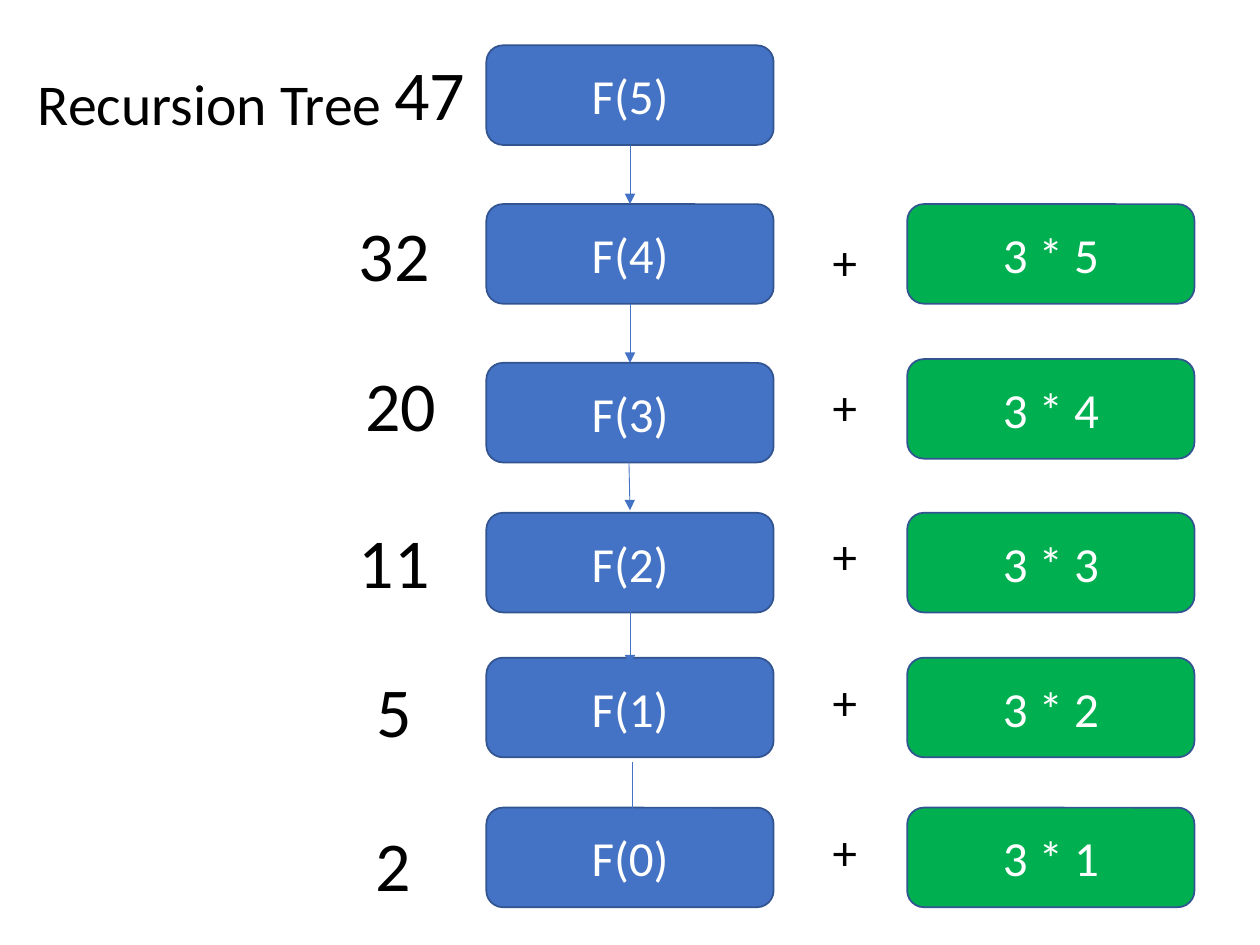
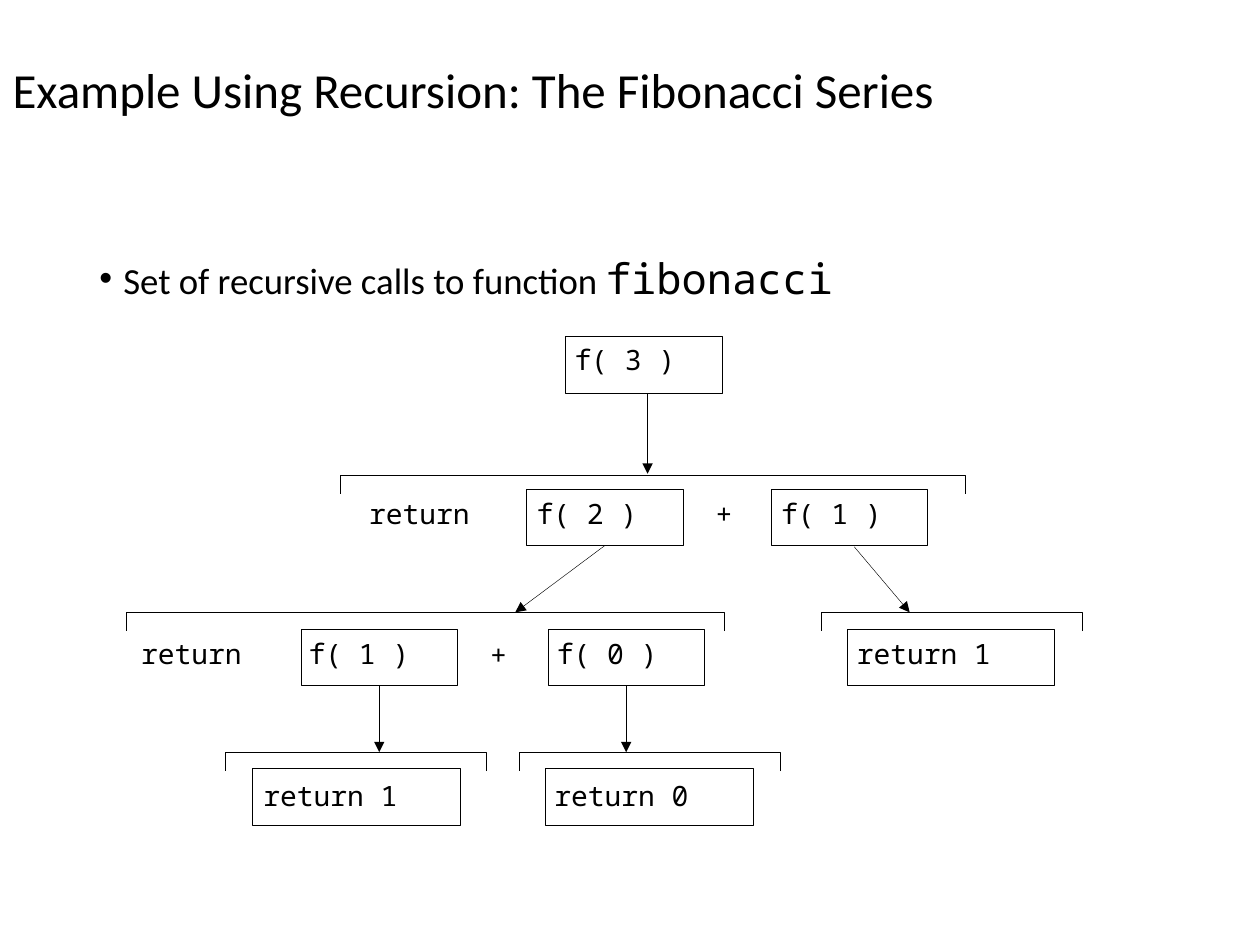
from dataclasses import dataclass
from typing import NamedTuple, Optional

import pptx
import pptx.dml.color
import pptx.enum.shapes
import pptx.enum.text
import pptx.oxml.xmlchemy
import pptx.presentation
import pptx.shapes.autoshape
import pptx.shapes.connector
import pptx.slide
import pptx.text.text
import pptx.util

PX = 9144
TOP, BOTTOM = 0, 2
SHAPES = pptx.enum.shapes.MSO_SHAPE
ANCHOR = pptx.enum.text.MSO_ANCHOR
ALIGN = pptx.enum.text.PP_ALIGN
AUTO_SIZE = pptx.enum.text.MSO_AUTO_SIZE
Presentation = pptx.presentation.Presentation
Slide = pptx.slide.Slide
Shape = pptx.shapes.autoshape.Shape
Connector = pptx.shapes.connector.Connector
TextFrame = pptx.text.text.TextFrame


@dataclass(frozen=True)
class Theme:
    ink: str = "000000"
    paper: str = "FFFFFF"
    call_fill: str = "4472C4"
    addend_fill: str = "00B050"
    outline: str = "325491"
    sans: str = "Calibri"
    mono: str = "Noto Sans Mono"
    tree_title: float = 33
    series_title: float = 28
    box: float = 28
    value: float = 40
    bullet: float = 21
    bullet_code: float = 24
    code: float = 16
    outline_width: float = 1
    link_width: float = 0.5
    hairline: float = 0.25
    line_spacing: float = 0.9


THEME = Theme()


class Area(NamedTuple):
    left: int
    top: int
    width: int
    height: int

    def emu(self) -> tuple[int, ...]:
        return tuple(length * PX for length in self)


class Point(NamedTuple):
    x: int
    y: int


class Style(NamedTuple):
    size: float
    font: str = THEME.sans
    color: str = THEME.ink


class TreeRow(NamedTuple):
    call: str
    top: int
    value: str
    value_at: Point
    addend: Optional[str] = None
    addend_top: int = 0
    plus_top: int = 0


class TreeLink(NamedTuple):
    start: Point
    end: Point
    source: Optional[int] = None
    target: Optional[int] = None


class CallBox(NamedTuple):
    text: str
    left: int
    top: int
    width: int
    label_at: Point


class Bracket(NamedTuple):
    left: int
    top: int
    width: int


class CallArrow(NamedTuple):
    start: Point
    end: Point
    source: Optional[int] = None


TREE_ROWS = (
    TreeRow("F(5)", 36, "47", Point(303, 35)),
    TreeRow("F(4)", 162, "32", Point(275, 163), "3 * 5", 162, 179),
    TreeRow("F(3)", 288, "20", Point(280, 282), "3 * 4", 285, 294),
    TreeRow("F(2)", 407, "11", Point(275, 407), "3 * 3", 407, 412),
    TreeRow("F(1)", 522, "5", Point(289, 525), "3 * 2", 522, 528),
    TreeRow("F(0)", 641, "2", Point(288, 647), "3 * 1", 641, 647),
)
TREE_LINKS = (
    TreeLink(Point(500, 115), Point(500, 162), 0, 1),
    TreeLink(Point(500, 241), Point(500, 288), 1, 2),
    TreeLink(Point(499, 358), Point(500, 405)),
    TreeLink(Point(500, 482), Point(500, 528)),
    TreeLink(Point(502, 605), Point(502, 652)),
)
CALL_BOXES = (
    CallBox("f( 3 )", 449, 267, 124, Point(456, 272)),
    CallBox("f( 2 )", 418, 388, 124, Point(426, 394)),
    CallBox("f( 1 )", 612, 388, 124, Point(620, 394)),
    CallBox("f( 1 )", 239, 499, 124, Point(245, 505)),
    CallBox("f( 0 )", 435, 499, 124, Point(442, 505)),
    CallBox("return 1", 672, 499, 165, Point(680, 505)),
    CallBox("return 1", 200, 610, 165, Point(209, 618)),
    CallBox("return 0", 433, 610, 165, Point(440, 618)),
)
BRACKETS = (
    Bracket(270, 377, 496),
    Bracket(100, 486, 475),
    Bracket(652, 486, 207),
    Bracket(179, 597, 207),
    Bracket(412, 597, 207),
)
CALL_ARROWS = (
    CallArrow(Point(514, 313), Point(514, 376)),
    CallArrow(Point(480, 433), Point(409, 486), 1),
    CallArrow(Point(678, 434), Point(722, 486)),
    CallArrow(Point(301, 544), Point(301, 597), 3),
    CallArrow(Point(497, 544), Point(497, 597), 4),
)
LOOSE_CODE = (
    ("return", Area(293, 394, 131, 35)),
    ("+", Area(568, 394, 28, 35)),
    ("return", Area(112, 505, 131, 35)),
    ("+", Area(389, 506, 28, 35)),
)


def rgb(color: str) -> pptx.dml.color.RGBColor:
    return pptx.dml.color.RGBColor.from_string(color)


def add_run(frame: TextFrame, text: str, style: Style) -> None:
    run = frame.paragraphs[0].add_run()
    run.text = text
    run.font.size = pptx.util.Pt(style.size)
    run.font.name = style.font
    run.font.color.rgb = rgb(style.color)


def add_titled_slide(presentation: Presentation, text: str, area: Area, size: float) -> Slide:
    slide = presentation.slides.add_slide(presentation.slide_layouts[5])
    title = slide.shapes.title
    title.left, title.top, title.width, title.height = area.emu()
    frame = title.text_frame
    frame.auto_size = AUTO_SIZE.NONE
    frame.vertical_anchor = ANCHOR.MIDDLE
    frame.paragraphs[0].alignment = ALIGN.LEFT
    frame.paragraphs[0].line_spacing = THEME.line_spacing
    add_run(frame, text, Style(size))
    return slide


def add_text(slide: Slide, area: Area) -> TextFrame:
    frame = slide.shapes.add_textbox(*area.emu()).text_frame
    frame.word_wrap = True
    return frame


def add_label(slide: Slide, text: str, area: Area, size: float) -> None:
    frame = add_text(slide, area)
    frame.auto_size = AUTO_SIZE.SHAPE_TO_FIT_TEXT
    add_run(frame, text, Style(size))


def add_code(slide: Slide, text: str, area: Area) -> None:
    frame = add_text(slide, area)
    frame.margin_left = frame.margin_top = frame.margin_right = frame.margin_bottom = 0
    add_run(frame, text, Style(THEME.code, THEME.mono))


def outline_shape(shape: Shape, color: str, width: float) -> None:
    shape.shadow.inherit = False
    shape.line.color.rgb = rgb(color)
    shape.line.width = pptx.util.Pt(width)


def add_tree_box(slide: Slide, text: str, left: int, top: int, fill: str) -> Shape:
    shape = slide.shapes.add_shape(SHAPES.ROUNDED_RECTANGLE, *Area(left, top, 228, 79).emu())
    outline_shape(shape, THEME.outline, THEME.outline_width)
    shape.fill.solid()
    shape.fill.fore_color.rgb = rgb(fill)
    frame = shape.text_frame
    frame.vertical_anchor = ANCHOR.MIDDLE
    frame.paragraphs[0].alignment = ALIGN.CENTER
    add_run(frame, text, Style(THEME.box, color=THEME.paper))
    return shape


def add_arrow(slide: Slide, start: Point, end: Point, color: str, width: float) -> Connector:
    connector = slide.shapes.add_connector(
        pptx.enum.shapes.MSO_CONNECTOR.STRAIGHT,
        start.x * PX, start.y * PX, end.x * PX, end.y * PX,
    )
    connector.line.color.rgb = rgb(color)
    connector.line.width = pptx.util.Pt(width)
    properties = connector.line._get_or_add_ln()
    tail = pptx.oxml.xmlchemy.OxmlElement("a:tailEnd")
    tail.set("type", "triangle")
    properties.append(tail)
    properties.getparent().append(pptx.oxml.xmlchemy.OxmlElement("a:effectLst"))
    return connector


def add_call_box(slide: Slide, box: CallBox) -> Shape:
    shape = slide.shapes.add_shape(
        SHAPES.RECTANGLE, *Area(box.left, box.top, box.width, 45).emu()
    )
    shape.fill.background()
    outline_shape(shape, THEME.ink, THEME.hairline)
    add_code(slide, box.text, Area(*box.label_at, box.width + 7, 35))
    return shape


def add_bracket(slide: Slide, bracket: Bracket) -> None:
    right, foot = bracket.left + bracket.width, bracket.top + 15
    builder = slide.shapes.build_freeform(right, foot, scale=PX)
    builder.add_line_segments(
        [(right, bracket.top), (bracket.left, bracket.top), (bracket.left, foot)], close=False
    )
    shape = builder.convert_to_shape()
    shape.fill.background()
    outline_shape(shape, THEME.ink, THEME.hairline)


def add_bullet(slide: Slide) -> None:
    frame = add_text(slide, Area(69, 200, 862, 476))
    paragraph = frame.paragraphs[0]
    paragraph.line_spacing = THEME.line_spacing
    paragraph.space_before = pptx.util.Pt(7.5)
    properties = paragraph._p.get_or_add_pPr()
    properties.set("marL", str(19 * PX))
    properties.set("indent", str(-19 * PX))
    font = pptx.oxml.xmlchemy.OxmlElement("a:buFont")
    font.set("typeface", "Arial")
    bullet = pptx.oxml.xmlchemy.OxmlElement("a:buChar")
    bullet.set("char", "•")
    properties.extend([font, bullet])
    add_run(frame, "Set of recursive calls to function ", Style(THEME.bullet))
    add_run(frame, "fibonacci", Style(THEME.bullet_code, THEME.mono))


def build_recursion_tree(presentation: Presentation) -> None:
    slide = add_titled_slide(
        presentation, "Recursion Tree", Area(20, 12, 862, 145), THEME.tree_title
    )
    calls = []
    for row in TREE_ROWS:
        calls.append(add_tree_box(slide, row.call, 386, row.top, THEME.call_fill))
        add_label(slide, row.value, Area(*row.value_at, 102, 77), THEME.value)
        if row.addend:
            add_tree_box(slide, row.addend, 720, row.addend_top, THEME.addend_fill)
            add_label(slide, "+", Area(651, row.plus_top, 63, 57), THEME.box)
    for link in TREE_LINKS:
        connector = add_arrow(slide, link.start, link.end, THEME.call_fill, THEME.link_width)
        if link.source is not None:
            connector.begin_connect(calls[link.source], BOTTOM)
        if link.target is not None:
            connector.end_connect(calls[link.target], TOP)


def build_fibonacci_calls(presentation: Presentation) -> None:
    title = "Example Using Recursion: The Fibonacci Series"
    slide = add_titled_slide(presentation, title, Area(0, 30, 977, 87), THEME.series_title)
    add_bullet(slide)
    for bracket in BRACKETS:
        add_bracket(slide, bracket)
    boxes = [add_call_box(slide, box) for box in CALL_BOXES]
    for arrow in CALL_ARROWS:
        connector = add_arrow(slide, arrow.start, arrow.end, THEME.ink, THEME.hairline)
        if arrow.source is not None:
            connector.begin_connect(boxes[arrow.source], BOTTOM)
    for text, area in LOOSE_CODE:
        add_code(slide, text, area)


def main() -> None:
    presentation = pptx.Presentation()
    presentation.slide_width = 1000 * PX
    presentation.slide_height = 750 * PX
    build_recursion_tree(presentation)
    build_fibonacci_calls(presentation)
    presentation.save("out.pptx")


if __name__ == "__main__":
    main()
